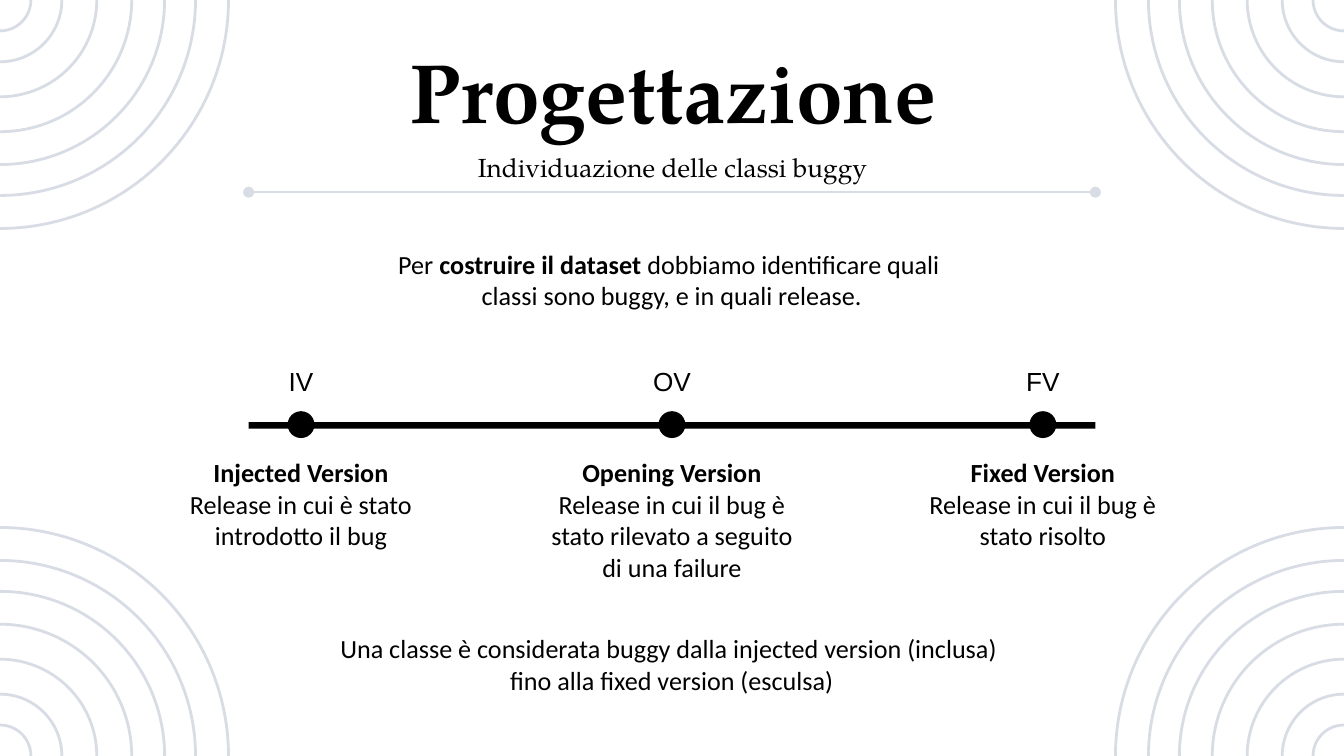
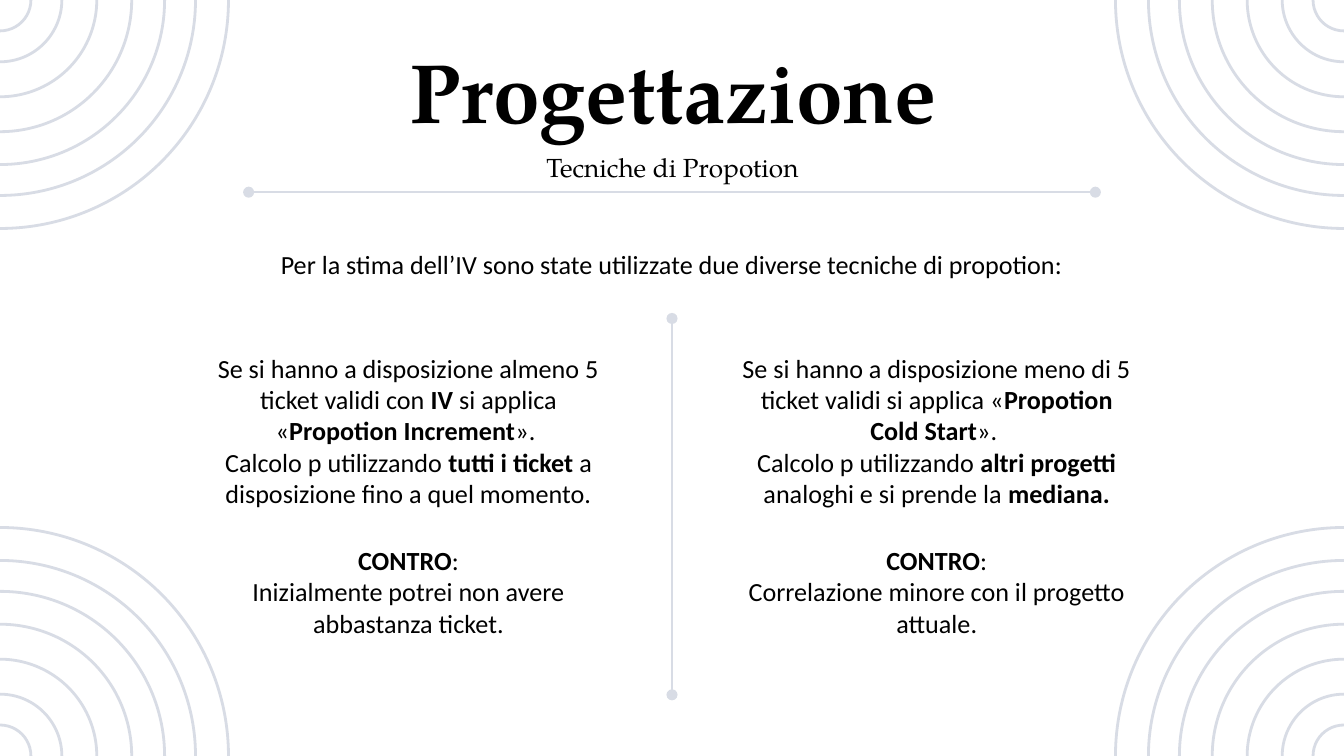
from lxml import etree
from pptx import Presentation
from pptx.dml.color import RGBColor
from pptx.enum.shapes import MSO_CONNECTOR, MSO_SHAPE
from pptx.enum.text import MSO_ANCHOR, MSO_AUTO_SIZE, PP_ALIGN
from pptx.oxml.ns import qn
from pptx.util import Inches, Pt

CENTER = PP_ALIGN.CENTER
TOP = MSO_ANCHOR.TOP
NO_FIT = MSO_AUTO_SIZE.NONE
GROW = MSO_AUTO_SIZE.SHAPE_TO_FIT_TEXT
ELLIPSE = MSO_SHAPE.OVAL
BAR = MSO_SHAPE.RECTANGLE
DOT = MSO_SHAPE.FLOWCHART_CONNECTOR
STRAIGHT = MSO_CONNECTOR.STRAIGHT

COLORS = {"text": "000000", "accent": "D8DCE5", "background": "FFFFFF"}
HEADING_FONT, BODY_FONT, LABEL_FONT = "TeX Gyre Pagella", "Calibri", "Arial"
BODY_SIZE = 14
WIDTH = 10
HEIGHT = WIDTH * 9 / 16
RING_DIAMETERS = (3.4, 2.91, 2.45, 1.96, 1.44, 0.92, 0.46)
TITLE_BOX = (0.79, 0.19, 8.43, 0.63)
SUBTITLE_BOX = (0.79, 1.03, 8.43, 0.4)
RULE_LEFT, RULE_RIGHT, RULE_TOP = 1.85, 8.15, 1.43
RULE_WIDTH = RULE_RIGHT - RULE_LEFT

TIMELINE_BOX = (RULE_LEFT, 2.67, RULE_WIDTH, 1.72)
VERSIONS = (
    ("IV", "Injected Version", "Release in cui è stato introdotto il bug"),
    ("OV", "Opening Version",
     "Release in cui il bug è stato rilevato a seguito di una failure"),
    ("FV", "Fixed Version", "Release in cui il bug è stato risolto"),
)
TECHNIQUES = (
    ("Se si hanno a disposizione almeno 5 ticket validi con **IV **si applica "
     "«**Propotion Increment**». \nCalcolo p utilizzando **tutti i ticket **"
     "a disposizione fino a quel momento.",
     "Inizialmente potrei non avere abbastanza ticket."),
    ("Se si hanno a disposizione meno di 5 ticket validi si applica "
     "«**Propotion Cold Start**». \nCalcolo p utilizzando** altri progetti **"
     "analoghi e si prende la **mediana.**",
     "Correlazione minore con il progetto attuale."),
)


def color(name):
    return RGBColor.from_string(COLORS[name])


def style_font(font, name, size, bold=False):
    font.name, font.size, font.bold = name, Pt(size), bold
    font.color.rgb = color("text")


def write_marked(paragraph, marked, font_name):
    """Write text in which ** toggles bold and a newline breaks the line."""
    for part, piece in enumerate(marked.split("**")):
        for row, words in enumerate(piece.split("\n")):
            if row:
                paragraph.add_line_break()
                line_break = paragraph._p[-1]
                etree.SubElement(line_break, qn("a:rPr"), sz=str(BODY_SIZE * 100))
            if words:
                run = paragraph.add_run()
                run.text = words
                style_font(run.font, font_name, BODY_SIZE, part % 2 == 1)


def add_text(slide, box, *paragraphs, font_name=BODY_FONT):
    frame = slide.shapes.add_textbox(*map(Inches, box)).text_frame
    frame.word_wrap = True
    frame.auto_size = GROW
    for index, marked in enumerate(paragraphs):
        paragraph = frame.add_paragraph() if index else frame.paragraphs[0]
        paragraph.alignment = CENTER
        write_marked(paragraph, marked, font_name)


def add_solid(shapes, preset, box):
    solid = shapes.add_shape(preset, *map(Inches, box))
    solid.shadow.inherit = False
    solid.fill.solid()
    solid.fill.fore_color.rgb = color("text")
    solid.line.fill.background()


def add_dotted_rule(slide, *ends):
    """Draw a thin line with a dot at both ends."""
    rule = slide.shapes.add_connector(STRAIGHT, *map(Inches, ends))
    rule.line.color.rgb = color("accent")
    rule.line.width = Pt(0.75)
    outline = rule.line._get_or_add_ln()
    for end in ("a:headEnd", "a:tailEnd"):
        etree.SubElement(outline, qn(end), type="oval")
    etree.SubElement(rule._element.spPr, qn("a:effectLst"))


def add_corner_rings(slide, center_x, center_y):
    rings = slide.shapes.add_group_shape().shapes
    for diameter in RING_DIAMETERS:
        ring = rings.add_shape(
            ELLIPSE, Inches(center_x - diameter / 2), Inches(center_y - diameter / 2),
            Inches(diameter), Inches(diameter))
        ring.shadow.inherit = False
        ring.fill.background()
        ring.line.color.rgb = color("accent")
        ring.line.width = Pt(1.5)


def fill_heading(heading, box, text, size, bold):
    heading.left, heading.top, heading.width, heading.height = map(Inches, box)
    frame = heading.text_frame
    frame.text = text
    frame.word_wrap = True
    frame.auto_size = NO_FIT
    frame.vertical_anchor = TOP
    frame.margin_left = frame.margin_right = Inches(0.1)
    frame.margin_top = frame.margin_bottom = Inches(0.1)
    paragraph = frame.paragraphs[0]
    paragraph.alignment = CENTER
    paragraph.space_before = Pt(0)
    style_font(paragraph.runs[0].font, HEADING_FONT, size, bold)


def add_design_slide(deck, subtitle):
    """Add a slide with corner rings, the shared title, a subtitle and its rule."""
    slide = deck.slides.add_slide(deck.slide_layouts[0])
    slide.background.fill.solid()
    slide.background.fill.fore_color.rgb = color("background")
    for center_x in (0, WIDTH):
        for center_y in (0, HEIGHT):
            add_corner_rings(slide, center_x, center_y)
    fill_heading(slide.shapes.title, TITLE_BOX, "Progettazione", 45, True)
    fill_heading(slide.placeholders[1], SUBTITLE_BOX, subtitle, BODY_SIZE, False)
    add_dotted_rule(slide, RULE_LEFT, RULE_TOP, RULE_RIGHT, RULE_TOP)
    return slide


def add_timeline(slide, box):
    left, top, width, height = box
    stop_gap, dot, label_width, text_width = 2.76, 0.2, 0.84, 2.17
    text_offset = 0.68
    track = slide.shapes.add_group_shape().shapes
    add_solid(track, BAR, (left, top + 0.47, width, 0.05))
    for index, (label, name, meaning) in enumerate(VERSIONS):
        stop = left + width / 2 + (index - 1) * stop_gap
        add_solid(track, DOT, (stop - dot / 2, top + 0.39, dot, dot))
        add_text(slide, (stop - label_width / 2, top, label_width, 0.34), label,
                 font_name=LABEL_FONT)
        add_text(slide, (stop - text_width / 2, top + text_offset, text_width,
                         height - text_offset), f"**{name}**", meaning)


def add_technique(slide, box, method, drawback):
    left, top, width, height = box
    drawback_height = 0.81
    add_text(slide, (left, top, width, 1.28), method)
    add_text(slide, (left, top + height - drawback_height, width, drawback_height),
             "**CONTRO**:", drawback)


def build_buggy_classes(deck):
    slide = add_design_slide(deck, "Individuazione delle classi buggy")
    add_text(slide, (RULE_LEFT, 1.8, RULE_WIDTH, 0.57),
             "Per **costruire il dataset **dobbiamo identificare quali \n"
             "classi sono buggy, e in quali release.")
    add_timeline(slide, TIMELINE_BOX)
    add_text(slide, (RULE_LEFT, 4.66, RULE_WIDTH, 0.57),
             "Una classe è considerata buggy dalla injected version (inclusa) ",
             "fino alla fixed version (esculsa)")


def build_techniques(deck):
    slide = add_design_slide(deck, "Tecniche di Propotion")
    add_text(slide, (RULE_LEFT, 1.8, RULE_WIDTH, 0.34),
             "Per la stima dell’IV sono state utilizzate due diverse tecniche "
             "di propotion:")
    add_dotted_rule(slide, WIDTH / 2, 2.37, WIDTH / 2, 5.17)
    for left, (method, drawback) in zip((1.46, 5.39), TECHNIQUES):
        add_technique(slide, (left, 2.57, 3.16, 2.24), method, drawback)


def main():
    deck = Presentation()
    deck.slide_width, deck.slide_height = Inches(WIDTH), Inches(HEIGHT)
    build_buggy_classes(deck)
    build_techniques(deck)
    deck.save("out.pptx")


if __name__ == "__main__":
    main()
